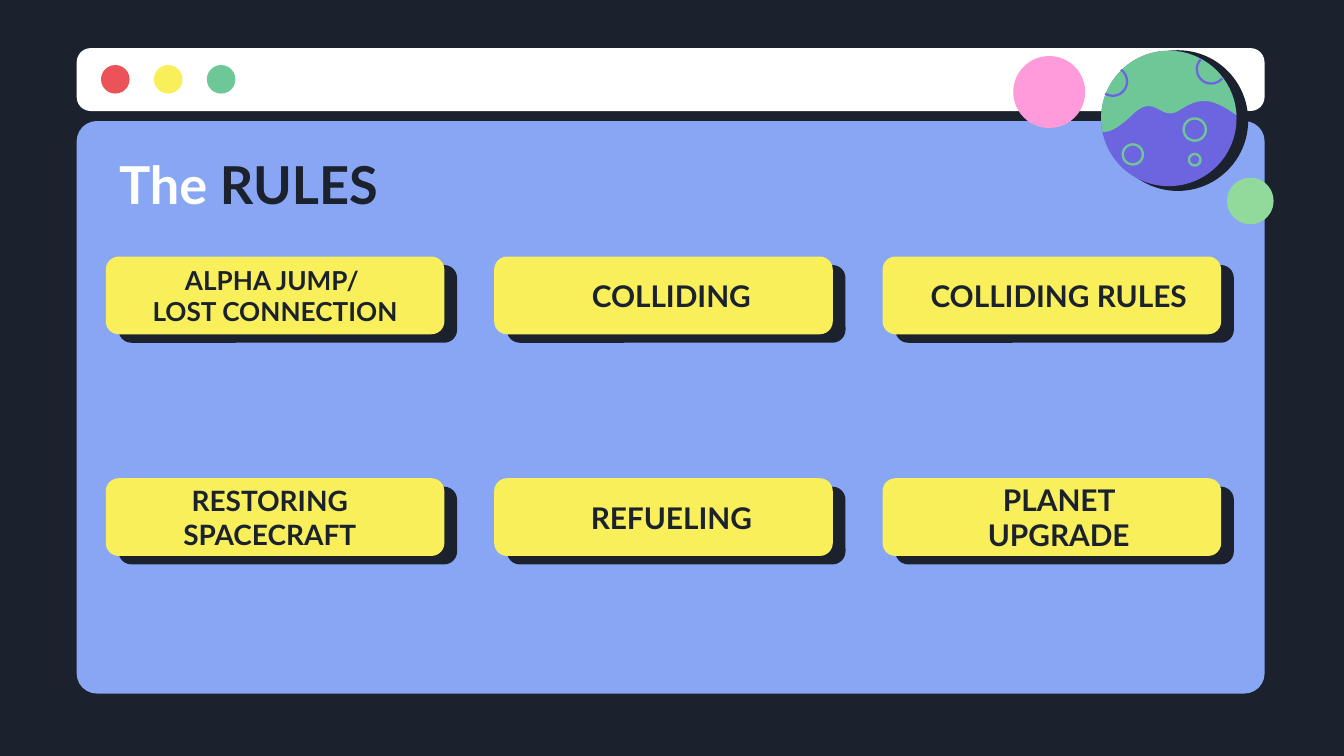
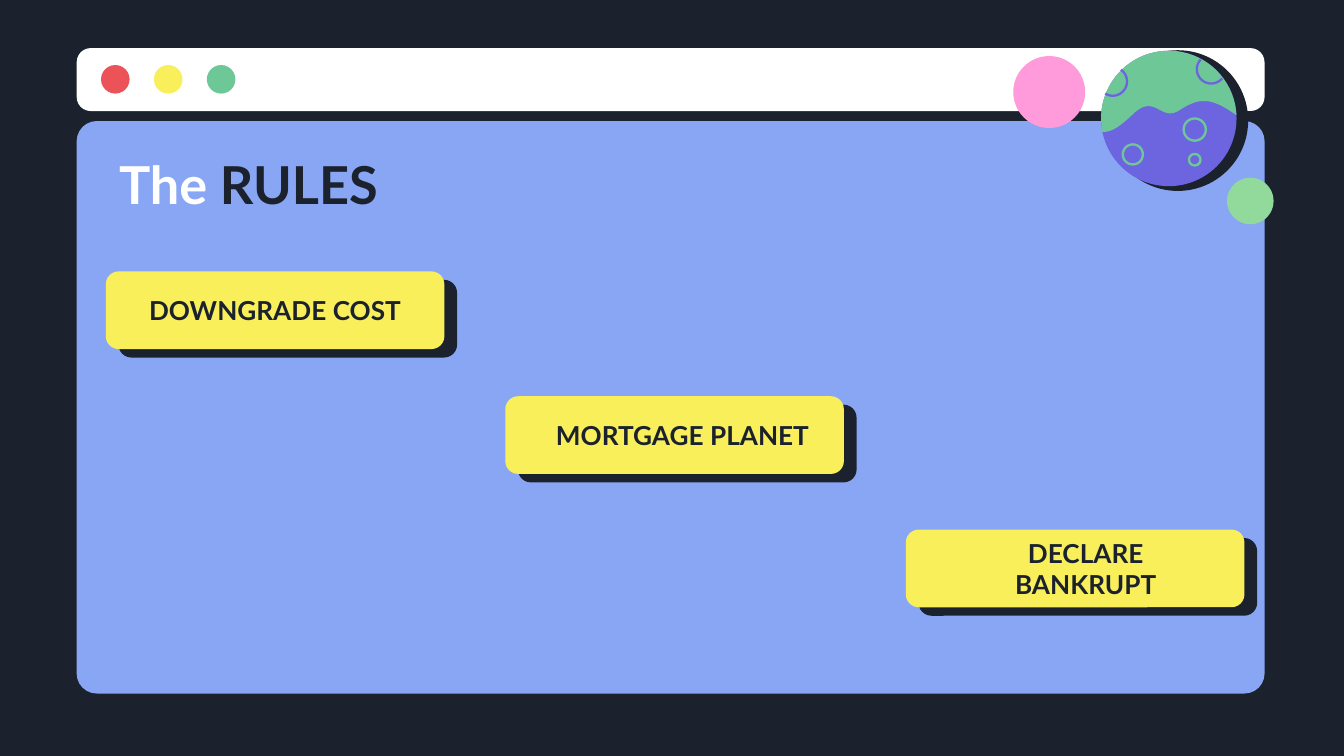
"""Build two game-rules slides styled as a browser window with a planet."""
from dataclasses import dataclass
from math import cos, radians, sin

from pptx import Presentation
from pptx.dml.color import RGBColor
from pptx.enum.shapes import MSO_SHAPE
from pptx.enum.text import MSO_ANCHOR, MSO_AUTO_SIZE, PP_ALIGN
from pptx.util import Cm, Pt

OVAL, ROUND = MSO_SHAPE.OVAL, MSO_SHAPE.ROUNDED_RECTANGLE
MIDDLE, NO_FIT = MSO_ANCHOR.MIDDLE, MSO_AUTO_SIZE.NONE
LEFT, CENTER = PP_ALIGN.LEFT, PP_ALIGN.CENTER


@dataclass(frozen=True)
class Theme:
    font: str = "Lato"
    dark: str = "1B222D"
    white: str = "FFFFFF"
    panel: str = "88A6F3"
    red: str = "EB5358"
    yellow: str = "F8EF5B"
    green: str = "6DC797"
    purple: str = "6D65E0"
    mint: str = "92D99C"
    pink: str = "FF9BDA"
    title: int = 28
    large: int = 16
    medium: int = 15
    small: int = 14
    ring: float = 1.25


T = Theme()

TITLE = [("The ", T.white), ("RULES", T.dark)]
COLS = [2.0 + 7.34 * i for i in range(3)]
ROWS = [4.85, 9.04]

# Each card: text, type size, left, top, shift of the label from the card centre
SLIDES = [
    [
        ("ALPHA JUMP/ \vLOST CONNECTION", T.small, COLS[0], ROWS[0], 0),
        ("COLLIDING", T.large, COLS[1], ROWS[0], 0.15),
        ("COLLIDING RULES", T.large, COLS[2], ROWS[0], 0.13),
        ("RESTORING SPACECRAFT", T.medium, COLS[0], ROWS[1], -0.1),
        ("REFUELING", T.large, COLS[1], ROWS[1], 0.15),
        ("PLANET UPGRADE", T.large, COLS[2], ROWS[1], 0.13),
    ],
    [
        ("DOWNGRADE COST", T.small, 2.0, 5.13, 0),
        ("MORTGAGE PLANET", T.small, 9.55, 7.49, 0.15),
        ("DECLARE BANKRUPT", T.small, 17.12, 10.01, 0.2),
    ],
]

CARD_W, CARD_H, LABEL_W = 6.4, 1.47, 5.38
SHADOW_DX, SHADOW_DY = 0.24, 0.16
BUTTONS = [T.red, T.yellow, T.green]
PLANET = (22.09, 2.24, 1.28)
COAST = [
    [(23.37, 2.18), (22.91, 1.85), (22.68, 1.83), (22.3, 2.08)],
    [(22.3, 2.08), (21.92, 2.34), (21.84, 1.7), (21.36, 2.21)],
    [(21.36, 2.21), (21.11, 2.44), (20.96, 2.51), (20.83, 2.49)],
]
SEA_RINGS = [(21.41, 2.92, 0.19), (22.58, 2.45, 0.21), (22.58, 3.02, 0.11)]
LAND_ARCS = [(21.03, 1.54, 0.27, -55, 122), (22.89, 1.31, 0.27, 40, 223)]
MOONS = [(23.63, 3.8, 0.44, T.mint), (19.83, 1.74, 0.68, T.pink)]


def rgb(color):
    return RGBColor.from_string(color)


def paint(shape, fill=None, line=None):
    shape.shadow.inherit = False
    if fill:
        shape.fill.solid()
        shape.fill.fore_color.rgb = rgb(fill)
    else:
        shape.fill.background()
    if line:
        shape.line.color.rgb = rgb(line)
        shape.line.width = Pt(T.ring)
    else:
        shape.line.fill.background()


def box(s, x, y, w, h, fill, adj):
    shape = s.shapes.add_shape(ROUND, Cm(x), Cm(y), Cm(w), Cm(h))
    shape.adjustments[0] = adj
    paint(shape, fill)


def disc(s, cx, cy, r, fill=None, line=None):
    shape = s.shapes.add_shape(OVAL, Cm(cx - r), Cm(cy - r), Cm(2 * r), Cm(2 * r))
    paint(shape, fill, line)


def arc(cx, cy, r, start, end, steps=40):
    angles = [radians(start + (end - start) * i / steps) for i in range(steps + 1)]
    return [(cx + r * cos(a), cy + r * sin(a)) for a in angles]


def bezier(a, b, c, d, steps=16):
    points = []
    for i in range(steps + 1):
        t = i / steps
        u = 1 - t
        weights = (u**3, 3 * u * u * t, 3 * u * t * t, t**3)
        points.append(tuple(sum(w * p[k] for w, p in zip(weights, (a, b, c, d)))
                            for k in (0, 1)))
    return points


def outline(s, points, close, fill=None, line=None):
    emu = [(Cm(x), Cm(y)) for x, y in points]
    builder = s.shapes.build_freeform(*emu[0])
    builder.add_line_segments(emu[1:], close=close)
    paint(builder.convert_to_shape(), fill, line)


def draw_planet(s):
    disc(s, 22.26, 2.28, 1.33, T.dark)
    disc(s, *PLANET, T.purple)
    for ring in SEA_RINGS:
        disc(s, *ring, line=T.green)
    coast = [point for curve in COAST for point in bezier(*curve)]
    outline(s, arc(*PLANET, 169, 357) + coast, True, fill=T.green)
    for crater in LAND_ARCS:
        outline(s, arc(*crater), False, line=T.purple)
    for cx, cy, r, color in MOONS:
        disc(s, cx, cy, r, color)


def draw_window(s):
    box(s, 1.45, 2.29, 22.45, 10.82, T.panel, 0.035)
    box(s, 1.45, 0.91, 22.45, 1.19, T.white, 0.223)
    for i, color in enumerate(BUTTONS):
        disc(s, 2.18 + i, 1.5, 0.27, color)
    draw_planet(s)


def move_to_layout(s, layout):
    for shape in list(s.shapes):
        if not shape.is_placeholder:
            layout.shapes.element.append(shape.element)


def set_frame(tf):
    tf.word_wrap = True
    tf.auto_size = NO_FIT
    tf.vertical_anchor = MIDDLE
    tf.margin_left = tf.margin_right = tf.margin_top = tf.margin_bottom = Cm(0.25)


def set_font(font, size):
    font.name, font.size, font.bold = T.font, Pt(size), True


def add_title(s):
    title = s.shapes.title
    title.left, title.top, title.width, title.height = Cm(2), Cm(2.69), Cm(21.41), Cm(1.57)
    set_frame(title.text_frame)
    p = title.text_frame.paragraphs[0]
    p.alignment = LEFT
    set_font(p.font, T.title)
    for text, color in TITLE:
        r = p.add_run()
        r.text = text
        r.font.color.rgb = rgb(color)


def add_card(s, text, size, x, y, shift):
    box(s, x + SHADOW_DX, y + SHADOW_DY, CARD_W, CARD_H, T.dark, 0.167)
    box(s, x, y, CARD_W, CARD_H, T.yellow, 0.167)
    left = x + (CARD_W - LABEL_W) / 2 + shift
    label = s.shapes.add_textbox(Cm(left), Cm(y), Cm(LABEL_W), Cm(CARD_H))
    set_frame(label.text_frame)
    p = label.text_frame.paragraphs[0]
    p.text = text
    p.alignment = CENTER
    set_font(p.font, size)
    p.font.color.rgb = rgb(T.dark)


def main():
    prs = Presentation()
    prs.slide_width, prs.slide_height = Cm(25.4), Cm(14.29)
    fill = prs.slide_master.background.fill
    fill.solid()
    fill.fore_color.rgb = rgb(T.dark)
    layout = prs.slide_layouts[5]
    slides = [prs.slides.add_slide(layout) for _ in SLIDES]
    draw_window(slides[0])
    move_to_layout(slides[0], layout)
    for s, cards in zip(slides, SLIDES):
        add_title(s)
        for card in cards:
            add_card(s, *card)
    prs.save("out.pptx")


if __name__ == "__main__":
    main()
